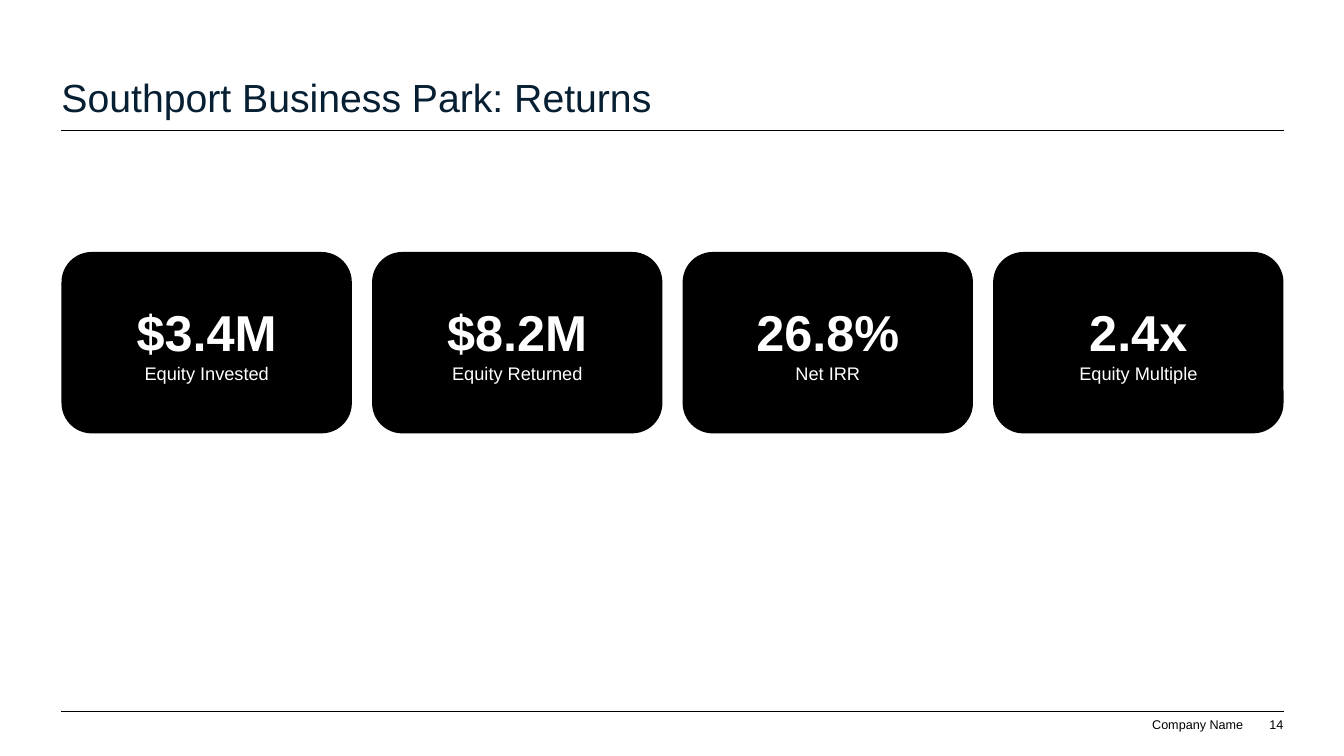
import pptx
import pptx.util
import pptx.dml.color
import pptx.enum.shapes
import pptx.enum.text
import pptx.oxml
from pptx.oxml.ns import qn

TITLE = "Southport Business Park: Returns"
RETURNS = [
    ("$3.4M", "Equity Invested"),
    ("$8.2M", "Equity Returned"),
    ("26.8%", "Net IRR"),
    ("2.4x", "Equity Multiple"),
]
FOOTER = "Company Name"
PAGE = "14"

WIDTH, HEIGHT = 13.33, 7.5
MARGIN = 0.61
CONTENT = 12.12
RIGHT = MARGIN + CONTENT
GAP = 0.2
CARD_TOP, CARD_HEIGHT = 2.5, 1.8
RULES = (1.29, 7.06)
FOOTER_TOP, FOOTER_HEIGHT = 7.11, 0.15
FOOTER_RIGHT = 12.33

THEME = {
    "font": "Arial",
    "black": "000000",
    "white": "FFFFFF",
    "navy": "061F32",
    "title": 28,
    "figure": 36,
    "label": 13,
    "footer": 9,
    "rule": 0.5,
}

inch = pptx.util.Inches
align = pptx.enum.text.PP_ALIGN
anchors = pptx.enum.text.MSO_ANCHOR


def color(name):
    return pptx.dml.color.RGBColor.from_string(THEME[name])


def write(sp, lines, alignment, anchor, margin=None):
    """Fill a shape with lines of (text, size name, colour name, bold)."""
    tf = sp.text_frame
    tf.word_wrap = True
    tf.vertical_anchor = anchor
    if margin is not None:
        for side in ("left", "top", "right", "bottom"):
            setattr(tf, f"margin_{side}", margin)
    for i, (text, size, ink, bold) in enumerate(lines):
        p = tf.add_paragraph() if i else tf.paragraphs[0]
        p.alignment = alignment
        r = p.add_run()
        r.text = text
        font = {"name": THEME["font"], "size": pptx.util.Pt(THEME[size]), "bold": bold}
        for key, value in font.items():
            setattr(r.font, key, value)
        r.font.color.rgb = color(ink)


def add_text(s, box, text, size, ink, alignment):
    sp = s.shapes.add_textbox(*map(inch, box))
    write(sp, [(text, size, ink, False)], alignment, anchors.BOTTOM, margin=0)


def add_rule(s, y):
    line = s.shapes.add_connector(
        pptx.enum.shapes.MSO_CONNECTOR.STRAIGHT, *map(inch, (MARGIN, y, RIGHT, y)))
    line.line.color.rgb = color("black")
    line.line.width = pptx.util.Pt(THEME["rule"])
    line._element.spPr.append(pptx.oxml.xmlchemy.OxmlElement("a:effectLst"))


def add_card(s, x, width, figure, label):
    sp = s.shapes.add_shape(
        pptx.enum.shapes.MSO_SHAPE.ROUNDED_RECTANGLE,
        *map(inch, (x, CARD_TOP, width, CARD_HEIGHT)))
    sp.shadow.inherit = False
    sp.fill.solid()
    sp.fill.fore_color.rgb = color("black")
    sp.line.fill.background()
    lines = [(figure, "figure", "white", True), (label, "label", "white", False)]
    write(sp, lines, align.CENTER, anchors.MIDDLE)


def main():
    prs = pptx.Presentation()
    prs.slide_width, prs.slide_height = inch(WIDTH), inch(HEIGHT)
    s = prs.slides.add_slide(prs.slide_layouts[6])

    for y in RULES:
        add_rule(s, y)
    add_text(s, (MARGIN, 0.39, CONTENT, 0.8), TITLE, "title", "navy", align.LEFT)

    card_width = (CONTENT - GAP * (len(RETURNS) - 1)) / len(RETURNS)
    for i, (figure, label) in enumerate(RETURNS):
        add_card(s, MARGIN + i * (card_width + GAP), card_width, figure, label)

    for text, right, width in ((FOOTER, FOOTER_RIGHT, 0.95), (PAGE, RIGHT, 0.36)):
        box = (right - width, FOOTER_TOP, width, FOOTER_HEIGHT)
        add_text(s, box, text, "footer", "black", align.RIGHT)

    prs.save("out.pptx")


if __name__ == "__main__":
    main()
